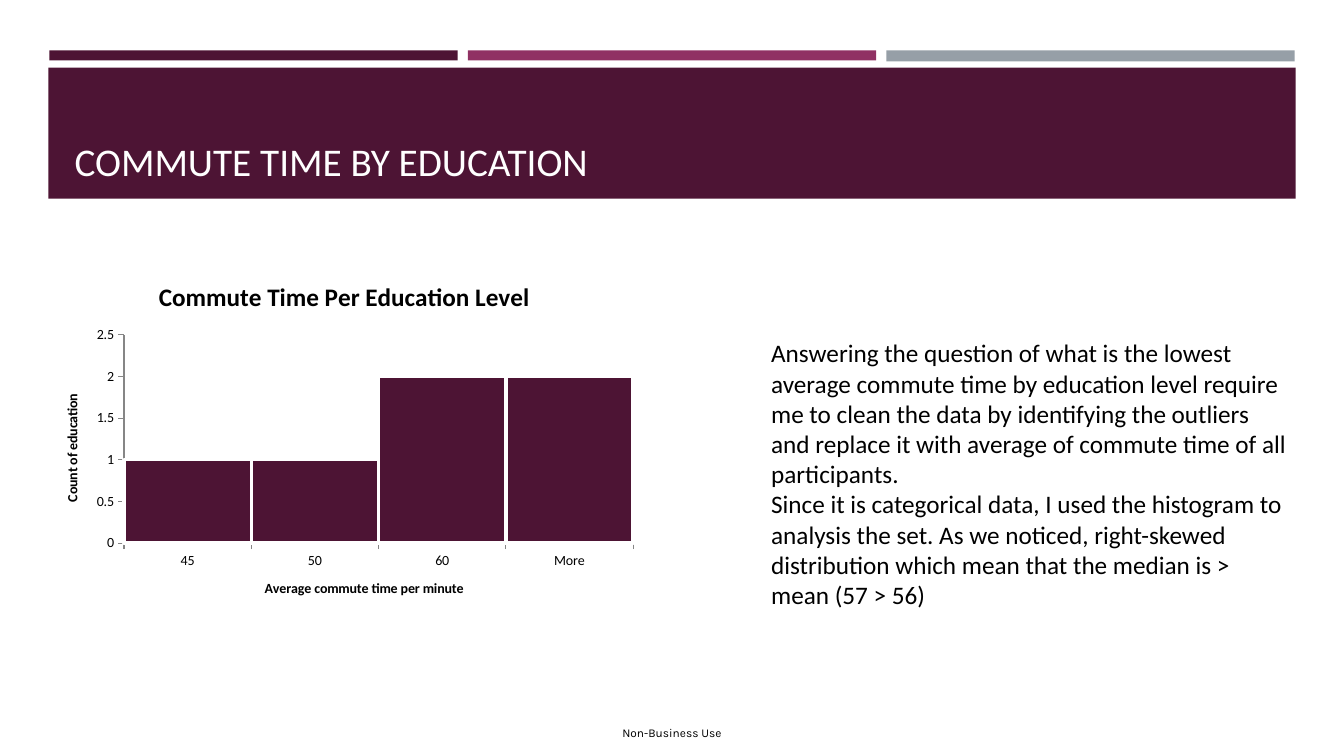
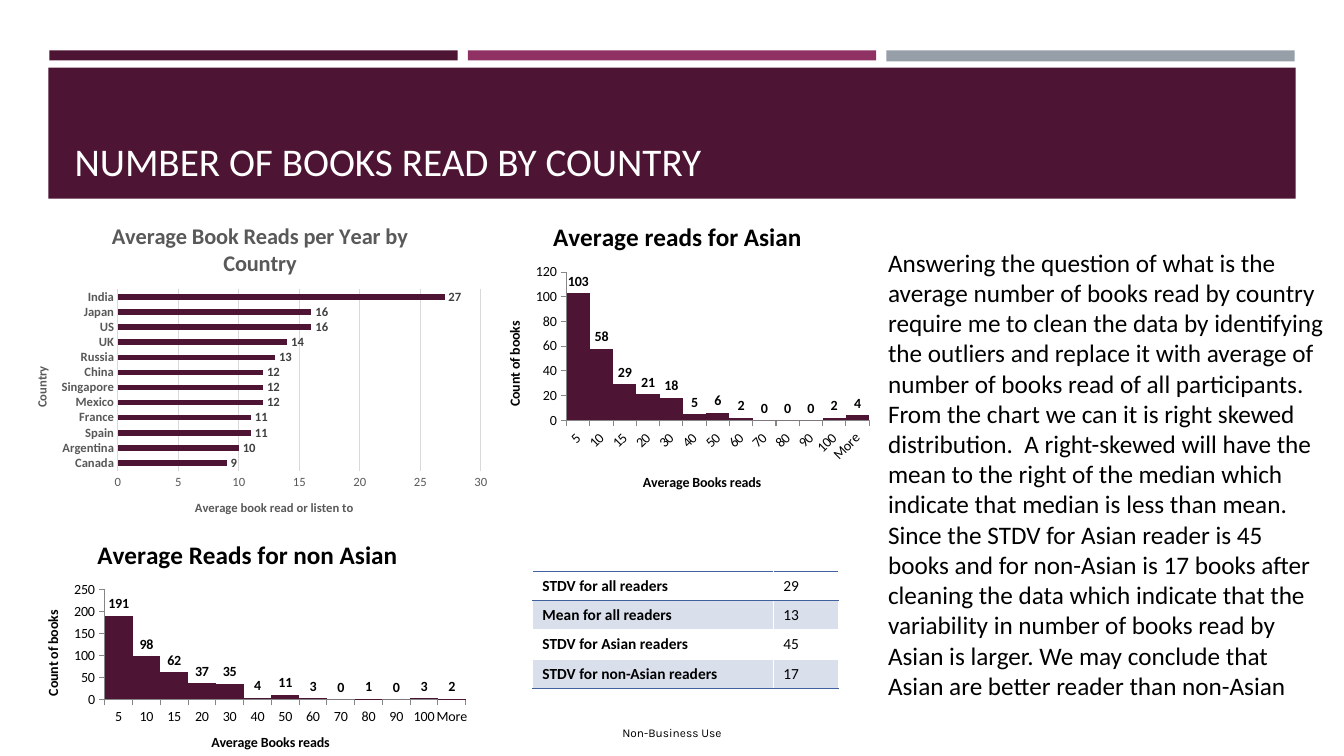
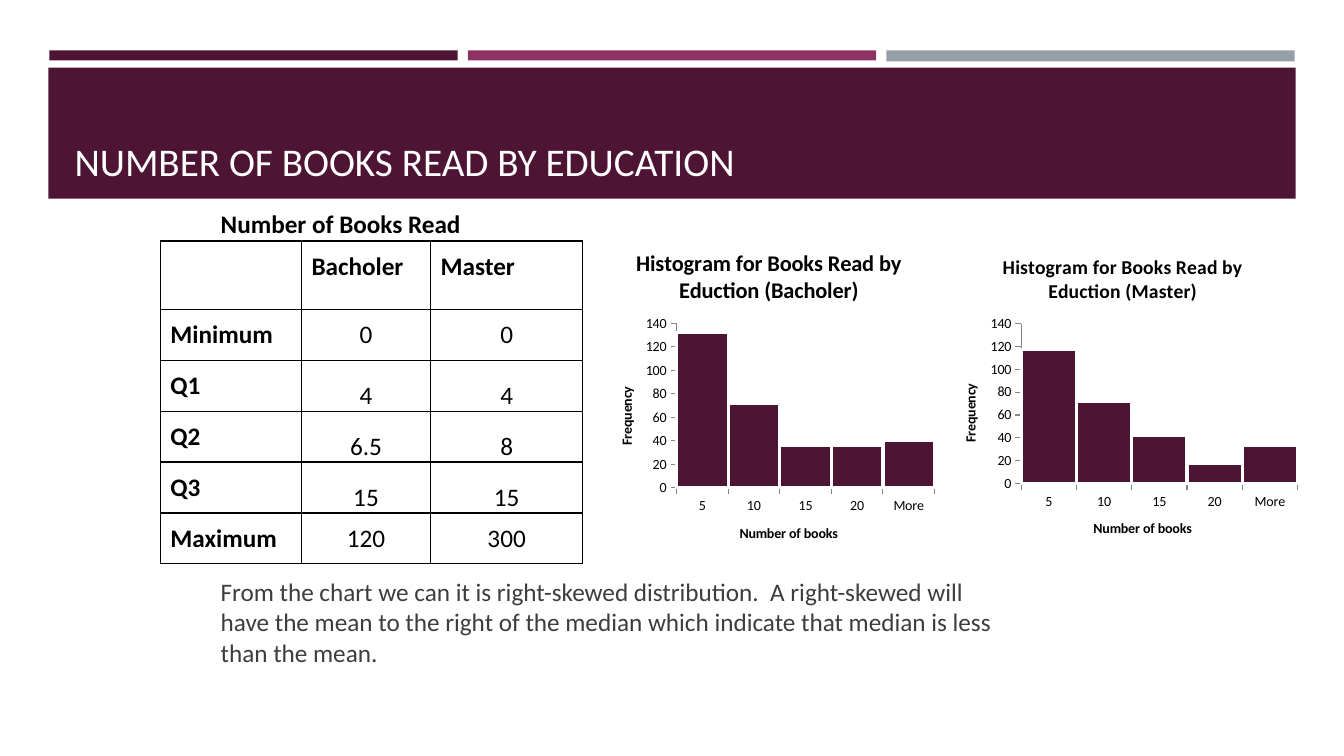
from lxml import etree
from pptx import Presentation
from pptx.chart.data import CategoryChartData
from pptx.dml.color import RGBColor
from pptx.enum import chart as ce, shapes, text
from pptx.oxml import ns
from pptx.util import Inches, Pt

hue = RGBColor.from_string
PLUM, ROSE, GREY = "4D1434", "903163", "969FA7"
BLACK, WHITE, BLUE, PALE = "000000", "FFFFFF", "40619D", "D9DFEB"
FONT = "Calibri"


def write(frame, words, size, color=BLACK, bold=False, face=FONT, align=None):
    frame.text = words
    frame.word_wrap = True
    for para in frame.paragraphs:
        para.alignment = align
        for run in para.runs:
            run.font.size = Pt(size)
            run.font.bold = bold
            run.font.name = face
            run.font.color.rgb = hue(color)


def pin(node, spot, area):
    box = node.find(ns.qn("c:layout"))
    if box is None:
        box = etree.Element(ns.qn("c:layout"))
        node.insert(len(node.findall(ns.qn("c:tx"))), box)
    hand = etree.SubElement(box, ns.qn("c:manualLayout"))
    left, top, wide, high = area
    marks = [("xMode", "edge"), ("yMode", "edge"),
             ("x", (spot[0] - left) / wide), ("y", (spot[1] - top) / high)]
    if len(spot) == 4:
        marks.insert(0, ("layoutTarget", "inner"))
        marks += [("w", spot[2] / wide), ("h", spot[3] / high)]
    for key, val in marks:
        etree.SubElement(hand, ns.qn("c:" + key)).set("val", str(val))


deck = Presentation()
deck.slide_width, deck.slide_height = Inches(13.33), Inches(7.5)

bands = [(0.49, 0.5, 4.05, 0.1, PLUM), (4.64, 0.5, 4.05, 0.1, ROSE),
         (8.79, 0.5, 4.05, 0.11, GREY), (0.48, 0.67, 12.37, 1.3, PLUM)]
heads = ["COMMUTE TIME BY EDUCATION", "NUMBER OF BOOKS READ BY COUNTRY",
         "NUMBER OF BOOKS READ BY EDUCATION"]
pages = []
for head in heads:
    page = deck.slides.add_slide(deck.slide_layouts[5])
    pages.append(page)
    for *area, color in bands:
        band = page.shapes.add_shape(shapes.MSO_SHAPE.RECTANGLE, *map(Inches, area))
        band.shadow.inherit = False
        band.fill.solid()
        band.fill.fore_color.rgb = hue(color)
        band.line.fill.background()
    title = page.shapes.title
    title.left, title.top, title.width, title.height = map(Inches, (0.64, 0.77, 12.06, 1.11))
    title.text_frame.auto_size = text.MSO_AUTO_SIZE.NONE
    title.text_frame.vertical_anchor = text.MSO_ANCHOR.BOTTOM
    write(title.text_frame, head, 28, WHITE, align=text.PP_ALIGN.LEFT)
    band.element.addnext(title.element)

for page in pages[:2]:
    foot = page.shapes.add_textbox(0, Inches(7.15), deck.slide_width, Inches(0.24))
    write(foot.text_frame, "Non-Business Use", 8.5, face="Karla", align=text.PP_ALIGN.CENTER)

notes = [
    (0, (7.55, 3.3, 5.32, 3.13), 0.05, BLACK, False,
     "Answering the question of what is the lowest average commute time by education level "
     "require me to clean the data by identifying the outliers and replace it with average of "
     "commute time of all participants.\n"
     "Since it is categorical data, I used the histogram to analysis the set. As we noticed, "
     "right-skewed distribution which mean that the median is > mean (57 > 56)"),
    (1, (8.71, 2.4, 4.57, 4.64), 0.05, BLACK, False,
     "Answering the question of what is the average number of books read by country require me "
     "to clean the data by identifying the outliers and replace it with average of number of "
     "books read of all participants.\n"
     "From the chart we can it is right skewed distribution.  A right-skewed will have the mean "
     "to the right of the median which indicate that median is less than mean.\n"
     "Since the STDV for Asian reader is 45 books and for non-Asian is 17 books after cleaning "
     "the data which indicate that the variability in number of books read by Asian is larger. "
     "We may conclude that Asian are better reader than non-Asian"),
    (2, (2.09, 5.62, 7.93, 1.84), 0.1, "3D3D3D", False,
     "From the chart we can it is right-skewed distribution.  A right-skewed will have the mean "
     "to the right of the median which indicate that median is less than the mean."),
    (2, (2.09, 1.97, 3.52, 0.35), 0.1, BLACK, True, "Number of Books Read"),
]
for num, area, inset, color, bold, words in notes:
    note = pages[num].shapes.add_textbox(*map(Inches, area))
    note.text_frame.margin_top = Inches(inset)
    write(note.text_frame, words, 18, color, bold)

ages = ["5", "10", "15", "20", "30", "40", "50", "60", "70", "80", "90", "100", "More"]
bins = ["5", "10", "15", "20", "More"]
lands = ["Canada", "Argentina", "Spain", "France", "Mexico", "Singapore",
         "China", "Russia", "UK", "US", "Japan", "India"]
charts = [
    (0, (0.42, 2.6, 5.99, 3.53), "Commute Time Per Education Level", 18,
     "Average commute time per minute", "Count of education", ["45", "50", "60", "More"],
     [1, 1, 2, 2], 2.5, 0.5, 2.5,
     (1.23, 3.32, 5.05, 2.07), (1.53, 2.73), (2.6, 5.72), (0.6, 3.88)),
    (1, (4.8, 2.04, 3.89, 3.04), "Average reads for Asian", 18,
     "Average Books reads", "Count of books", ages,
     [103, 58, 29, 21, 18, 5, 6, 2, 0, 0, 0, 2, 4], 120, 20, 0,
     (5.62, 2.7, 3, 1.47), (5.44, 2.13), (6.35, 4.67), (4.99, 3.16)),
    (1, (0.23, 5.22, 4.49, 2.43), "Average Reads for non Asian", 18,
     "Average Books reads", "Count of books", ages,
     [191, 98, 62, 37, 35, 4, 11, 3, 0, 1, 0, 3, 2], 250, 50, 0,
     (1.04, 5.85, 3.58, 1.09), (0.92, 5.29), (2.07, 7.25), (0.41, 6.03)),
    (1, (0.23, 2.05, 4.7, 3.29), "Average Book Reads per Year by Country", 16,
     "Country", "Average book read or listen to", lands,
     [9, 10, 11, 11, 12, 12, 12, 13, 14, 16, 16, 27], 30, 5, 0,
     (1.17, 2.87, 3.6, 1.8), (1.07, 2.15), (0.31, 3.61), (1.91, 4.93)),
    (2, (5.91, 2.32, 3.42, 3.26), "Histogram for Books Read by Eduction (Bacholer)", 16,
     "Number of books", "Frequency", bins, [132, 72, 36, 36, 40], 140, 20, 2.25,
     (6.71, 3.21, 2.56, 1.63), (6.27, 2.42), (7.31, 5.18), (6.1, 3.81)),
    (2, (9.33, 2.36, 3.61, 3.17), "Histogram for Books Read by Eduction (Master)", 14,
     "Number of books", "Frequency", bins, [117, 72, 42, 18, 33], 140, 20, 2.25,
     (10.13, 3.21, 2.74, 1.59), (9.91, 2.48), (10.82, 5.13), (9.51, 3.78)),
]
for (num, area, name, size, xname, yname, cats, vals, peak, step, edge,
     inner, tspot, xspot, yspot) in charts:
    flat = cats is lands
    data = CategoryChartData()
    data.categories = cats
    data.add_series("Series 1", vals)
    kind = ce.XL_CHART_TYPE.BAR_CLUSTERED if flat else ce.XL_CHART_TYPE.COLUMN_CLUSTERED
    chart = pages[num].shapes.add_chart(kind, *map(Inches, area), data).chart
    small = 9 if flat else 10
    tint = "595959" if flat else BLACK
    chart.font.name = FONT
    chart.font.size = Pt(small)
    chart.font.color.rgb = hue(tint)
    chart.has_legend = False
    write(chart.chart_title.text_frame, name, size, tint, True)
    pin(chart.chart_title.element, tspot, area)
    pin(chart.element.find(".//" + ns.qn("c:plotArea")), inner, area)

    base, scale = chart.category_axis, chart.value_axis
    for axis, label, spot in ((base, xname, xspot), (scale, yname, yspot)):
        write(axis.axis_title.text_frame, label, small, tint, True)
        pin(axis.axis_title.element, spot, area)
        axis.major_tick_mark = ce.XL_TICK_MARK.NONE if flat else ce.XL_TICK_MARK.OUTSIDE
        axis.format.line.width = Pt(0.75)
        axis.format.line.color.rgb = hue("D9D9D9" if flat else "868686")
        axis.tick_labels.font.size = Pt(small)
        axis.tick_labels.font.bold = flat and axis is base
    scale.minimum_scale, scale.maximum_scale, scale.major_unit = 0, peak, step
    scale.has_major_gridlines = flat
    body = chart.element.find(".//" + "/".join(map(ns.qn, ("c:catAx", "c:txPr", "a:bodyPr"))))
    if flat:
        scale.format.line.fill.background()
        scale.major_gridlines.format.line.width = Pt(0.75)
        scale.major_gridlines.format.line.color.rgb = hue("D9D9D9")
        body.set("rot", "-60000000")
        skip = etree.Element(ns.qn("c:tickLblSkip"), val="2")
        chart.element.find(".//" + ns.qn("c:noMultiLvlLbl")).addprevious(skip)
    if name == "Average reads for Asian":
        body.set("rot", "-2700000")

    plot = chart.plots[0]
    plot.vary_by_categories = False
    plot.gap_width = 182 if flat else 0
    bars = plot.series[0].format
    bars.fill.solid()
    bars.fill.fore_color.rgb = hue(PLUM)
    if edge:
        bars.line.width = Pt(edge)
        bars.line.color.rgb = hue(WHITE)
    else:
        plot.has_data_labels = True
        tags = plot.data_labels
        tags.show_value = True
        tags.position = ce.XL_LABEL_POSITION.OUTSIDE_END
        tags.font.size = Pt(small)
        tags.font.bold = True
        tags.font.color.rgb = hue("404040" if flat else BLACK)

tables = [
    (1, (5.28, 5.67), [2.39, 0.65], [0.29] * 4, 11,
     [["STDV for all readers", "29"], ["Mean for all readers", "13"],
      ["STDV for Asian readers", "45"], ["STDV for non-Asian readers", "17"]]),
    (2, (1.59, 2.39), [1.4, 1.28, 1.51], [0.68] + [0.505] * 5, 18,
     [["", "Bacholer", "Master"], ["Minimum", "0", "0"], ["Q1", "4", "4"],
      ["Q2", "6.5", "8"], ["Q3", "15", "15"], ["Maximum", "120", "300"]]),
]
for num, spot, cols, rows, size, cells in tables:
    area = (*spot, sum(cols), sum(rows))
    grid = pages[num].shapes.add_table(len(rows), len(cols), *map(Inches, area)).table
    grid.first_row = grid.horz_banding = False
    full = num == 2
    for col, wide in zip(grid.columns, cols):
        col.width = Inches(wide)
    for r, line in enumerate(cells):
        grid.rows[r].height = Inches(rows[r])
        for c, words in enumerate(line):
            cell = grid.cell(r, c)
            head = c == 0 or full and r == 0
            mid = full and not head
            write(cell.text_frame, words, size, bold=head,
                  align=text.PP_ALIGN.CENTER if mid else None)
            if full:
                low = mid and line[0].startswith("Q")
                pad = Inches(0.01 if low else 0.1)
                cell.margin_left = cell.margin_right = cell.margin_top = pad
                cell.margin_bottom = 0 if low else pad
                if low:
                    cell.vertical_anchor = text.MSO_ANCHOR.BOTTOM
            sides = ["lnL", "lnR", "lnT", "lnB"] if full else {
                0: ["lnT", "lnB"], 1: ["lnT"], 3: ["lnB"]}.get(r, [])
            for side in sides:
                rim = etree.SubElement(cell._tc.get_or_add_tcPr(), ns.qn("a:" + side), w="12700")
                paint = etree.SubElement(rim, ns.qn("a:solidFill"))
                etree.SubElement(paint, ns.qn("a:srgbClr"), val=BLACK if full else BLUE)
            cell.fill.solid()
            cell.fill.fore_color.rgb = hue(PALE if not full and r % 2 else WHITE)

deck.save("out.pptx")
